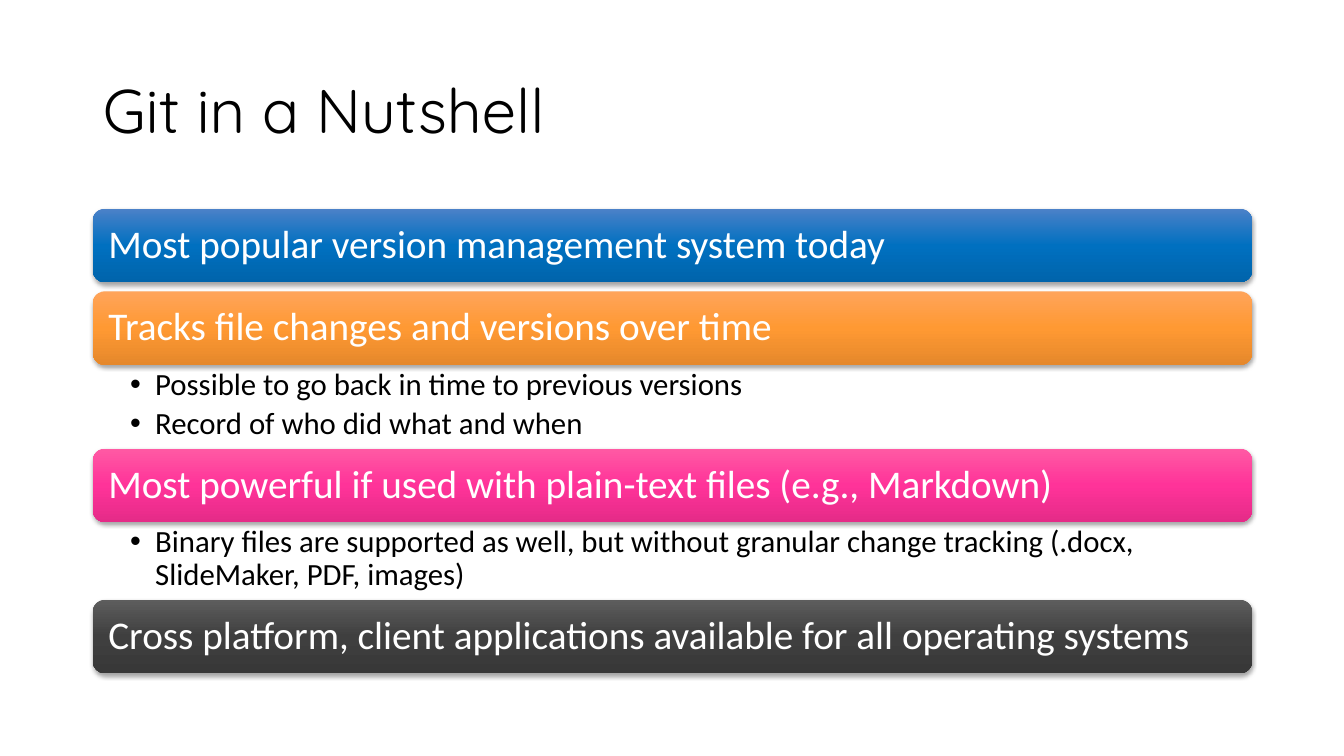
import copy

import lxml.etree
import pptx
import pptx.dml.color
import pptx.enum.shapes
import pptx.enum.text
import pptx.oxml.ns
import pptx.util

Inches = pptx.util.Inches
LEFT, WIDTH = 0.92, 11.5
BAR_HEIGHT = 0.73
SECTIONS = [
    ("Most popular version management system today",
     ("4B81C8", "0070C0", "0064AB"), [], 0.09),
    ("Tracks file changes and versions over time",
     ("FFA45A", "FF9933", "E5882B"),
     ["Possible to go back in time to previous versions",
      "Record of who did what and when"], 0.83),
    ("Most powerful if used with plain-text files (e.g., Markdown)",
     ("FF5AA4", "FF3399", "E52B88"),
     ["Binary files are supported as well, but without granular change "
      "tracking (.docx, SlideMaker, PDF, images)"], 0.77),
    ("Cross platform, client applications available for all operating systems",
     ("5D5D5D", "3F3F3F", "383838"), [], 0),
]


def color(value):
    """Turn a hex string into a colour."""
    return pptx.dml.color.RGBColor.from_string(value)


def child(parent, tag, **attributes):
    """Append a DrawingML element to its parent."""
    return lxml.etree.SubElement(parent, pptx.oxml.ns.qn(tag), attributes)


def style_frame(frame, anchor, insets):
    """Set wrapping, anchor and insets (left, top, right, bottom) of a frame."""
    frame.word_wrap = True
    frame.auto_size = pptx.enum.text.MSO_AUTO_SIZE.NONE
    frame.vertical_anchor = anchor
    (frame.margin_left, frame.margin_top,
     frame.margin_right, frame.margin_bottom) = map(Inches, insets)


def style_para(para, font, size, ink):
    """Left-align a paragraph and format its runs."""
    para.alignment = pptx.enum.text.PP_ALIGN.LEFT
    para.line_spacing = 0.9
    for span in para.runs:
        span.font.name = font
        span.font.size = pptx.util.Pt(size)
        span.font.color.rgb = color(ink)


def add_title(page, text, left, top, width, height):
    """Place the slide title in the given box."""
    title = page.shapes.title
    title.left, title.top, title.width, title.height = map(
        Inches, (left, top, width, height))
    title.text_frame.text = text
    style_frame(title.text_frame, pptx.enum.text.MSO_ANCHOR.MIDDLE,
                (0.1, 0.05, 0.1, 0.05))
    style_para(title.text_frame.paragraphs[0], "Quicksand", 44, "000000")


def fill_gradient(shape, colors):
    """Fill a shape from top to bottom with three evenly spaced colours."""
    shape.fill.gradient()
    shape.fill.gradient_angle = 270
    stop_list = shape._element.spPr.find(".//" + pptx.oxml.ns.qn("a:gsLst"))
    stop_list.append(copy.deepcopy(stop_list[0]))
    for index, (stop, value) in enumerate(zip(shape.fill.gradient_stops, colors)):
        stop.position = index / 2
        stop.color.rgb = color(value)


def add_shadow(shape):
    """Give a shape a soft shadow below it."""
    shape.shadow.inherit = False
    effects = shape._element.spPr.find(pptx.oxml.ns.qn("a:effectLst"))
    shadow = child(effects, "a:outerShdw", blurRad=str(pptx.util.Pt(3.1)),
                   dist=str(pptx.util.Pt(1.8)), dir="5400000", rotWithShape="0")
    child(child(shadow, "a:srgbClr", val="000000"), "a:alpha", val="35000")


def add_bar(page, text, colors, left, top, width, height):
    """Draw a rounded heading bar with its text."""
    bar = page.shapes.add_shape(
        pptx.enum.shapes.MSO_SHAPE.ROUNDED_RECTANGLE,
        *map(Inches, (left, top, width, height)))
    bar.line.fill.background()
    fill_gradient(bar, colors)
    add_shadow(bar)
    bar.text_frame.text = text
    style_frame(bar.text_frame, pptx.enum.text.MSO_ANCHOR.MIDDLE,
                (0.12, 0.12, 0.12, 0.12))
    style_para(bar.text_frame.paragraphs[0], "Calibri", 28, "FFFFFF")


def add_bullets(page, lines, left, top, width, height):
    """Write bulleted lines below a bar."""
    box = page.shapes.add_textbox(*map(Inches, (left, top, width, height)))
    frame = box.text_frame
    frame.text = "\n".join(lines)
    style_frame(frame, pptx.enum.text.MSO_ANCHOR.TOP, (0.37, 0.04, 0.22, 0.04))
    for para in frame.paragraphs:
        properties = para._p.get_or_add_pPr()
        properties.set("marL", str(Inches(0.25)))
        properties.set("indent", str(Inches(-0.25)))
        child(properties, "a:buFont", typeface="Arial")
        child(properties, "a:buChar", char="•")
        para.space_after = pptx.util.Pt(4.4)
        style_para(para, "Calibri", 22, "000000")


def add_sections(page, left, top, width):
    """Stack the bars and their bullets from the top down."""
    for heading, colors, lines, space_below in SECTIONS:
        add_bar(page, heading, colors, left, top, width, BAR_HEIGHT)
        top += BAR_HEIGHT
        if lines:
            add_bullets(page, lines, left, top, width, space_below)
        top += space_below


def main():
    """Build the deck and save it."""
    deck = pptx.Presentation()
    deck.slide_width, deck.slide_height = Inches(13.33), Inches(7.5)
    page = deck.slides.add_slide(deck.slide_layouts[5])
    add_title(page, "Git in a Nutshell", LEFT, 0.4, WIDTH, 1.45)
    add_sections(page, LEFT, 2.07, WIDTH)
    deck.save("out.pptx")


if __name__ == "__main__":
    main()
